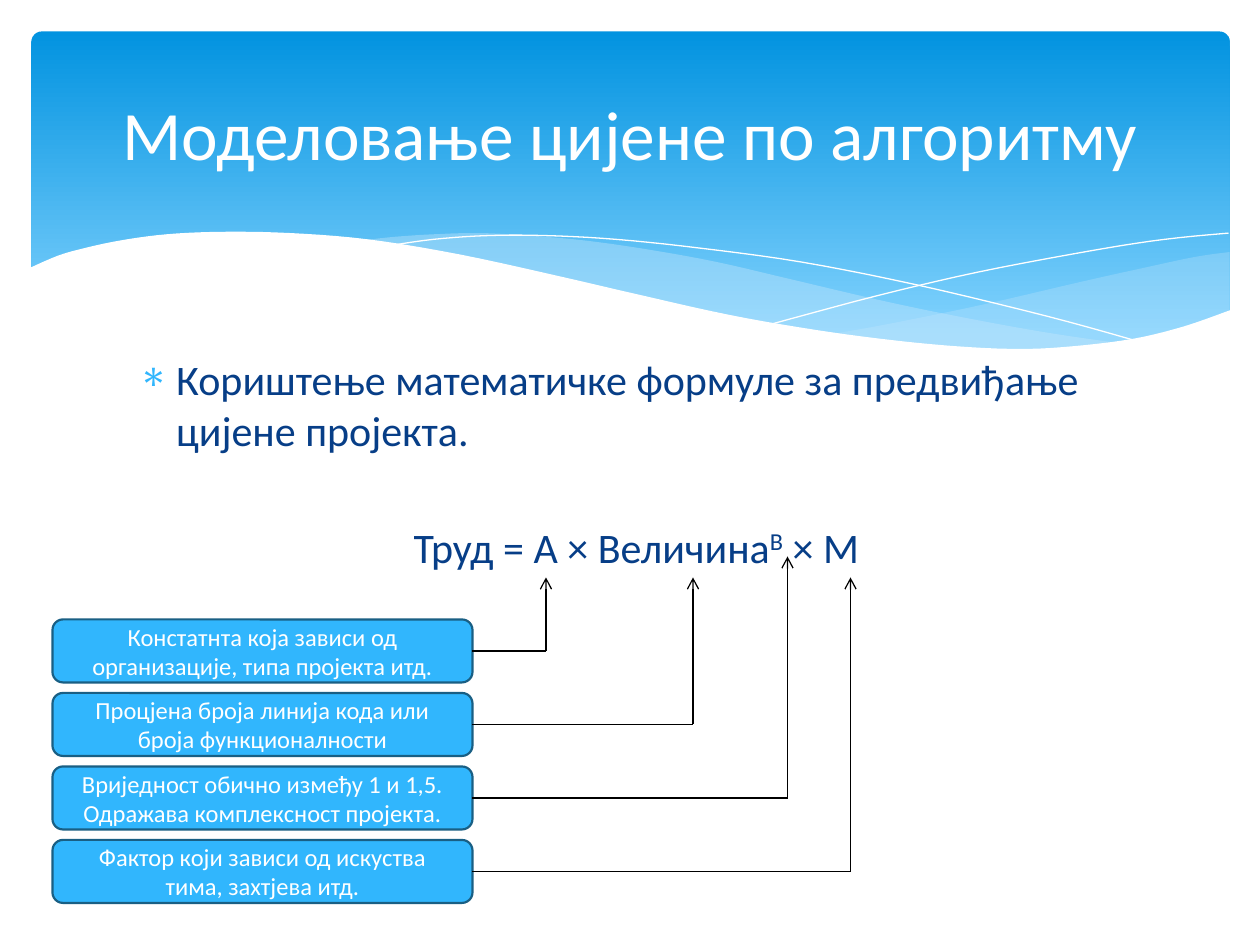
from lxml import etree
from pptx import Presentation
from pptx import util as u
from pptx.dml import color
from pptx.enum import shapes, text
from pptx.oxml import ns

CELL = 1 / 12
FONT = "Calibri"
WHITE, SKY, NAVY, EDGE, BLACK = "FFFFFF", "31B6FD", "073E87", "195F84", "000000"
CALLOUTS = [
    ("Констатнта која зависи од организације, типа пројекта итд.", 52, 55),
    ("Процјена броја линија кода или броја функционалности", 66, 55),
    ("Вриједност обично између 1 и 1,5. Одражава комплексност пројекта.", 75, 53),
    ("Фактор који зависи од искуства тима, захтјева итд.", 81, 55),
]
BACK_WAVE = [
    [(9.76, 2), (9.48, 2.04), (9.06, 2.13), (8.61, 2.23), (7.79, 2.42), (7.06, 2.57), (6.61, 2.65)],
    [(6.61, 2.65), (7.05, 2.71), (7.57, 2.76), (8.03, 2.78), (8.54, 2.76), (8.97, 2.7),
     (9.35, 2.62), (9.76, 2.47)],
]
MIDDLE_WAVE = [
    [(8.93, 2.73), (8.37, 2.65), (7.75, 2.54), (7.06, 2.4), (6.29, 2.22), (5.69, 2.08),
     (5.14, 1.98), (4.65, 1.91), (4.2, 1.87), (3.8, 1.85), (3.44, 1.86), (3.13, 1.88), (2.86, 1.91)],
    [(2.86, 1.91), (3.42, 1.99), (4.04, 2.11), (4.49, 2.22), (5.3, 2.4), (6.01, 2.55),
     (6.65, 2.66), (7.22, 2.74), (7.73, 2.77), (8.18, 2.78), (8.57, 2.77), (8.93, 2.73)],
]
FRONT_WAVE = [
    [(9.77, 2.46), (9.4, 2.59), (8.99, 2.69), (8.5, 2.75), (8.09, 2.77), (7.61, 2.75),
     (7.08, 2.7), (6.48, 2.62), (5.79, 2.5), (5.03, 2.33), (4.47, 2.2), (3.65, 2.02),
     (2.92, 1.9), (2.3, 1.85), (1.77, 1.84), (1.32, 1.86), (0.95, 1.91), (0.67, 1.97),
     (0.46, 2.03), (0.23, 2.13)],
    [(0.23, 3.29)],
    [(9.77, 3.29)],
]
FALLING_LINE = [[(3.09, 1.95), (3.44, 1.9), (3.87, 1.87), (4.33, 1.87), (4.89, 1.9),
                 (5.56, 1.97), (6.36, 2.08), (7.27, 2.26), (8.31, 2.51), (9.07, 2.72)]]
RISING_LINE = [[(6.13, 2.57), (6.95, 2.35), (7.76, 2.16), (8.66, 1.99), (9.24, 1.9), (9.75, 1.85)]]


def paint(target, value):
    target.rgb = color.RGBColor.from_string(value)


def fill_with(shape, value):
    shape.fill.solid()
    paint(shape.fill.fore_color, value)


def place(box):
    return [u.Inches(value) for value in box]


def write(para, words, size=24, ink=NAVY, align=None, before=None, baseline=None):
    span = para.add_run()
    span.text = words
    span.font.size, span.font.name = u.Pt(size), FONT
    paint(span.font.color, ink)
    if align is not None:
        para.alignment = align
    if before is not None:
        para.space_before = u.Pt(before)
    if baseline:
        span._r.get_or_add_rPr().set("baseline", str(baseline * 1000))


def add_bullet(para, char, ink, indent):
    props = para._p.get_or_add_pPr()
    props.set("marL", str(u.Inches(indent)))
    props.set("indent", str(-u.Inches(indent)))
    tint = etree.SubElement(props, ns.qn("a:buClr"))
    etree.SubElement(tint, ns.qn("a:srgbClr"), val=ink)
    etree.SubElement(props, ns.qn("a:buChar"), char=char)


def smooth(knots, steps=5):
    padded = [knots[0], *knots, knots[-1]]
    points = [knots[0]]
    for before, start, end, after in zip(padded, padded[1:], padded[2:], padded[3:]):
        for step in range(1, steps + 1):
            t = step / steps
            points.append(tuple(
                (2 * b + (c - a) * t + (2 * a - 5 * b + 4 * c - d) * t ** 2
                 + (3 * b - a - 3 * c + d) * t ** 3) / 2
                for a, b, c, d in zip(before, start, end, after)))
    return points


def add_wave(page, box, edges, fill=None, alpha=None):
    points = [(u.Inches(box[0] + x), u.Inches(box[1] + y))
              for edge in edges for x, y in smooth(edge)]
    builder = page.shapes.build_freeform(*points[0])
    builder.add_line_segments(points[1:], close=fill is not None)
    wave = builder.convert_to_shape()
    wave.shadow.inherit = False
    if fill is None:
        wave.fill.background()
        paint(wave.line.color, WHITE)
        wave.line.width = 0
        return
    fill_with(wave, fill)
    wave.line.fill.background()
    if alpha:
        tint = wave.element.spPr.find(".//" + ns.qn("a:srgbClr"))
        etree.SubElement(tint, ns.qn("a:alpha"), val=str(alpha * 1000))


def add_header(page, box):
    left, top, width, height = box
    panel = page.shapes.add_shape(shapes.MSO_SHAPE.ROUNDED_RECTANGLE,
                                  *place((left + 0.25, top + 0.25, width - 0.49, height - 0.6)))
    panel.adjustments[0] = 0.03
    panel.shadow.inherit = False
    panel.line.fill.background()
    panel.fill.gradient()
    panel.fill.gradient_angle = 270
    for stop, position, value in zip(panel.fill.gradient_stops, (0, 0.9), ("0293E0", "83D3FE")):
        stop.position = position
        paint(stop.color, value)
    add_wave(page, box, BACK_WAVE, "C6E7FC", 29)
    add_wave(page, box, MIDDLE_WAVE, "C6E7FC", 40)
    add_wave(page, box, FALLING_LINE)
    add_wave(page, box, RISING_LINE)
    add_wave(page, box, FRONT_WAVE, WHITE)


def add_title(page, box):
    title = page.shapes.title
    title.left, title.top, title.width, title.height = place(box)
    title.element.getparent().append(title.element)
    frame = title.text_frame
    frame.auto_size = text.MSO_AUTO_SIZE.NONE
    frame.vertical_anchor = text.MSO_ANCHOR.MIDDLE
    write(frame.paragraphs[0], "Моделовање цијене по алгоритму", size=39.6, ink=WHITE,
          align=text.PP_ALIGN.CENTER)


def add_body(page, box):
    frame = page.shapes.add_textbox(*place(box)).text_frame
    frame.word_wrap = True
    lead = frame.paragraphs[0]
    write(lead, "Кориштење математичке формуле за предвиђање цијене пројекта.")
    add_bullet(lead, "∗", SKY, 0.3)
    formula = frame.add_paragraph()
    write(formula, "Труд = А × Величина", align=text.PP_ALIGN.CENTER, before=38)
    write(formula, "В", baseline=30)
    write(formula, " × М")


def add_line(page, start, end, arrow=False):
    line = page.shapes.add_connector(shapes.MSO_CONNECTOR.STRAIGHT, *place(start + end))
    paint(line.line.color, BLACK)
    line.line.width = u.Pt(0.75)
    etree.SubElement(line.element.spPr, ns.qn("a:effectLst"))
    if arrow:
        etree.SubElement(line.line._get_or_add_ln(), ns.qn("a:tailEnd"), type="arrow")
    return line


def add_callout(page, box, words, tip):
    left, top, width, height = box
    label = page.shapes.add_shape(shapes.MSO_SHAPE.ROUNDED_RECTANGLE, *place(box))
    label.shadow.inherit = False
    fill_with(label, SKY)
    paint(label.line.color, EDGE)
    label.line.width = u.Pt(1.25)
    frame = label.text_frame
    frame.word_wrap = True
    frame.vertical_anchor = text.MSO_ANCHOR.MIDDLE
    write(frame.paragraphs[0], words, size=14, ink=WHITE, align=text.PP_ALIGN.CENTER)
    middle = top + height / 2
    corner = (tip[0], middle)
    add_line(page, (left + width, middle), corner).begin_connect(label, 3)
    add_line(page, corner, tip, arrow=True)


def add_callouts(page, box):
    left, top, width, height = box
    pitch = (height + CELL) / len(CALLOUTS)
    for row, (words, column, tip_row) in enumerate(CALLOUTS):
        add_callout(page, (left, top + row * pitch, width, pitch - CELL), words,
                    (column * CELL, tip_row * CELL))


def main():
    deck = Presentation()
    deck.slide_width, deck.slide_height = u.Inches(10), u.Inches(7.5)
    page = deck.slides.add_slide(deck.slide_layouts[5])
    add_header(page, (0, 0, 10, 3.3))
    add_body(page, (1, 2.76, 8.1, 2.07))
    add_title(page, (0.5, 0.37, 9, 1.37))
    add_callouts(page, (5 * CELL, 59 * CELL, 40 * CELL, 27 * CELL))
    deck.save("out.pptx")


if __name__ == "__main__":
    main()
